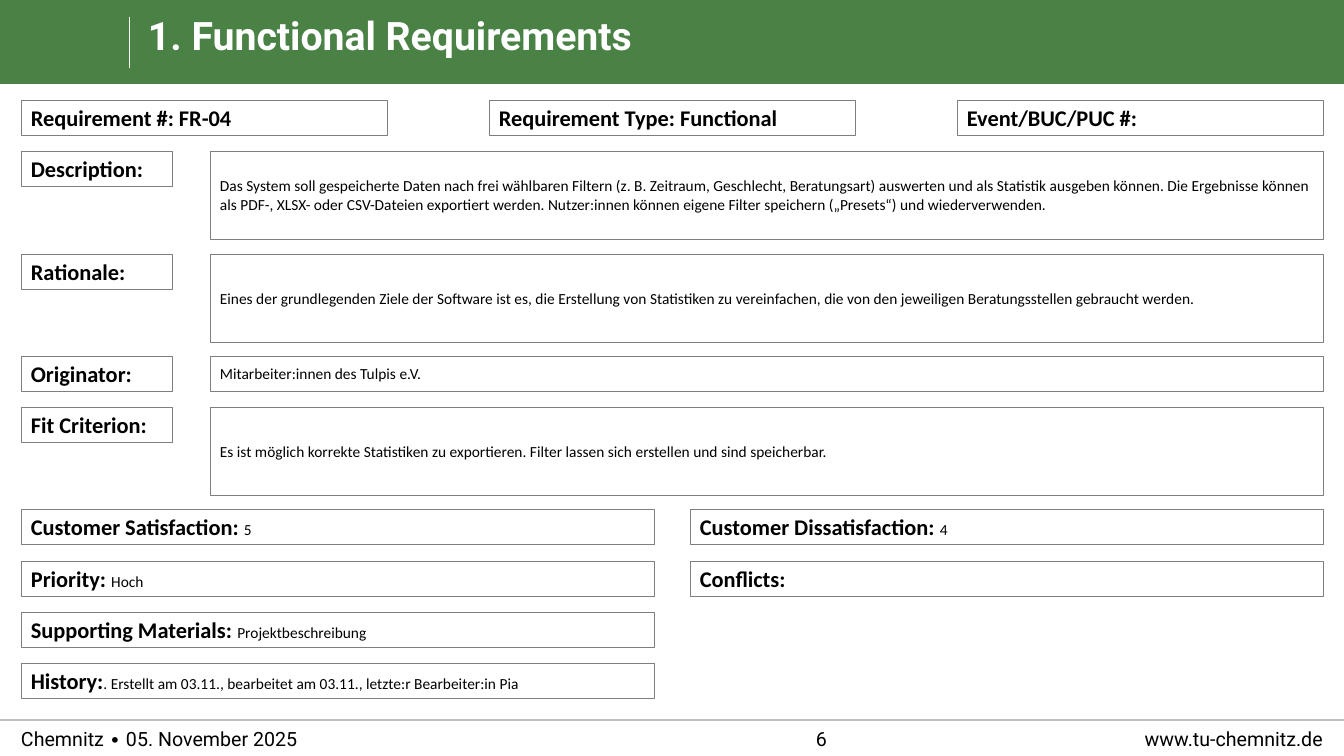
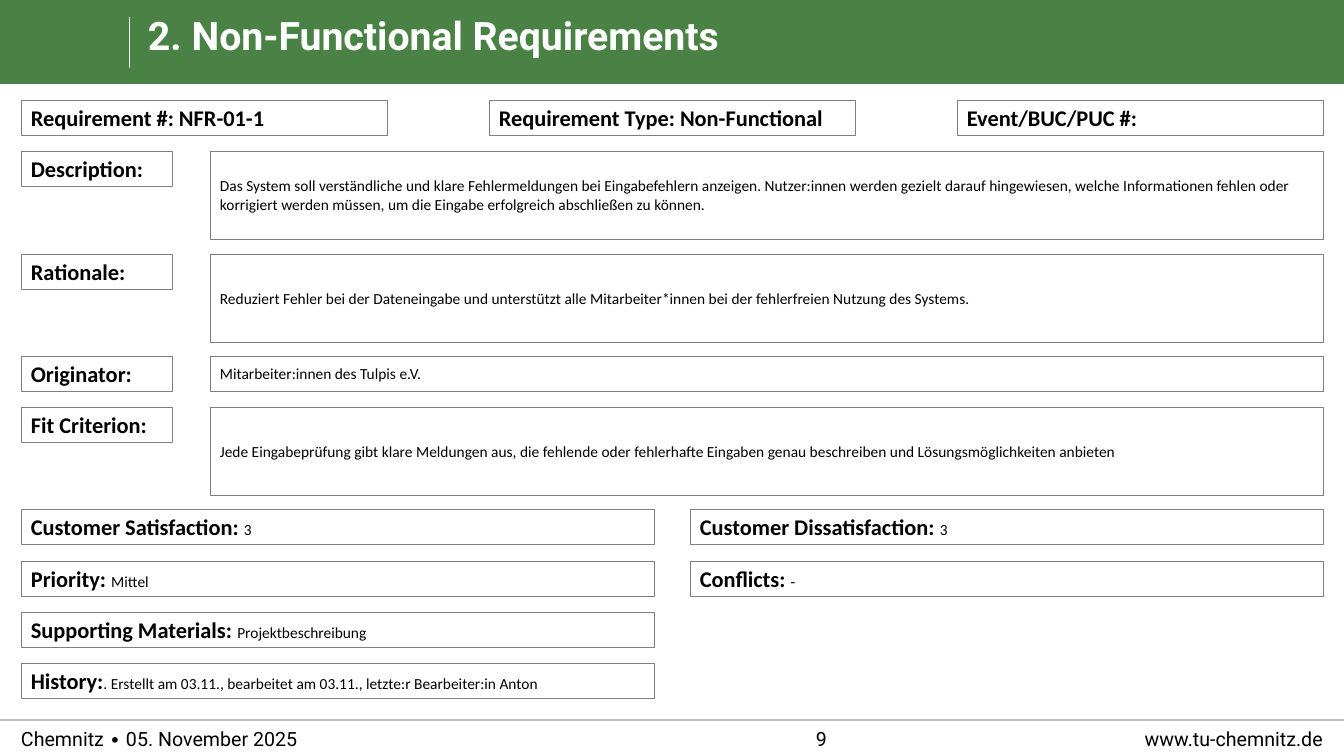
from dataclasses import dataclass

from lxml import etree
from pptx import Presentation
from pptx.dml.color import RGBColor
from pptx.enum.shapes import MSO_CONNECTOR, MSO_SHAPE
from pptx.enum.text import MSO_ANCHOR, MSO_AUTO_SIZE, PP_ALIGN
from pptx.oxml.ns import qn
from pptx.util import Emu, Pt

STRAIGHT = MSO_CONNECTOR.STRAIGHT
RECTANGLE = MSO_SHAPE.RECTANGLE
TOP, MIDDLE = MSO_ANCHOR.TOP, MSO_ANCHOR.MIDDLE
LEFT, CENTER, RIGHT = PP_ALIGN.LEFT, PP_ALIGN.CENTER, PP_ALIGN.RIGHT
TITLE_ONLY = 5

SLIDE_WIDTH, SLIDE_HEIGHT = 1344, 756
EMU_PER_PX = 12192000 / SLIDE_WIDTH


@dataclass(frozen=True)
class Theme:
    green: RGBColor = RGBColor(0x4A, 0x82, 0x46)
    white: RGBColor = RGBColor(0xFF, 0xFF, 0xFF)
    black: RGBColor = RGBColor(0x00, 0x00, 0x00)
    border: RGBColor = RGBColor(0x7F, 0x7F, 0x7F)
    heading_font: str = "Roboto"
    body_font: str = "Calibri"
    title_size: int = 28
    label_size: int = 16
    footer_size: int = 14
    value_size: int = 11


THEME = Theme()


@dataclass(frozen=True)
class Box:
    left: int
    top: int
    width: int
    height: int

    def emu(self):
        return [px(value) for value in (self.left, self.top, self.width, self.height)]


BAND = Box(0, 0, SLIDE_WIDTH, 84)
TITLE = Box(148, 17, 1174, 51)
CARD = Box(21, 100, 1302, 598)
FOOTER = Box(0, 720, SLIDE_WIDTH, 37)

FIELD_HEIGHT, TALL_HEIGHT = 35, 88
LAST_ROW = 11
HEADER_WIDTH, LABEL_WIDTH, VALUE_WIDTH, HALF_WIDTH = 366, 151, 1113, 633


@dataclass(frozen=True)
class Requirement:
    title: str
    page: str
    number: str
    kind: str
    description: str
    rationale: str
    originator: str
    fit_criterion: str
    satisfaction: str
    dissatisfaction: str
    priority: str
    conflicts: tuple
    materials: str
    history: str


def px(value):
    return Emu(round(value * EMU_PER_PX))


def style_font(font, name, size, color, bold=False):
    font.name, font.size, font.bold = name, Pt(size), bold
    font.color.rgb = color


def add_rule(slide, start, end, color, width, opacity=None):
    rule = slide.shapes.add_connector(STRAIGHT, *(px(value) for value in start + end))
    rule.line.color.rgb = color
    rule.line.width = Pt(width)
    if opacity is not None:
        srgb = next(rule.element.iter(qn("a:srgbClr")))
        etree.SubElement(srgb, qn("a:alpha")).set("val", str(opacity * 1000))
    etree.SubElement(rule.element.spPr, qn("a:effectLst"))


def clear_margins(frame):
    frame.margin_left = frame.margin_top = frame.margin_right = frame.margin_bottom = 0


def add_footer_text(slide, box, text, alignment):
    frame = slide.shapes.add_textbox(*box.emu()).text_frame
    clear_margins(frame)
    frame.word_wrap = True
    frame.vertical_anchor = MIDDLE
    paragraph = frame.paragraphs[0]
    paragraph.text = text
    paragraph.alignment = alignment
    style_font(paragraph.font, THEME.heading_font, THEME.footer_size, THEME.black)


def add_band(slide, box):
    band = slide.shapes.add_shape(RECTANGLE, *box.emu())
    band.shadow.inherit = False
    band.fill.solid()
    band.fill.fore_color.rgb = THEME.green
    band.line.fill.background()
    divider = box.left + 129
    add_rule(slide, (divider, box.top + 17), (divider, box.top + 68), THEME.white, 0.5)


def add_footer(slide, box):
    add_rule(slide, (box.left, box.top), (box.left + box.width, box.top),
             THEME.black, 1, opacity=40)
    add_footer_text(slide, Box(box.left + 910, box.top, 413, box.height),
                    "www.tu-chemnitz.de", RIGHT)
    add_footer_text(slide, Box(box.left + 21, box.top, 635, box.height),
                    "Chemnitz ∙ 05. November 2025", LEFT)


def furnish_layout(slide, layout):
    """Draw the band and footer on the slide, then hand them to its layout."""
    for placeholder in list(layout.placeholders):
        if placeholder.placeholder_format.idx != 0:
            layout.shapes.element.remove(placeholder.element)
    add_band(slide, BAND)
    add_footer(slide, FOOTER)
    for shape in list(slide.shapes):
        if not shape.is_placeholder:
            layout.shapes.element.append(shape.element)


def set_title(slide, box, text):
    title = slide.shapes.title
    title.left, title.top, title.width, title.height = box.emu()
    frame = title.text_frame
    clear_margins(frame)
    frame.auto_size = MSO_AUTO_SIZE.NONE
    frame.vertical_anchor = TOP
    paragraph = frame.paragraphs[0]
    paragraph.text = text
    paragraph.alignment = LEFT
    paragraph.line_spacing = 0.9
    style_font(paragraph.font, THEME.heading_font, THEME.title_size, THEME.white, True)


def add_field(slide, box, label="", value=""):
    """Add a bordered box with a bold label, a small value, or both."""
    field = slide.shapes.add_shape(RECTANGLE, *box.emu())
    field.shadow.inherit = False
    field.fill.solid()
    field.fill.fore_color.rgb = THEME.white
    field.line.color.rgb = THEME.border
    field.line.width = Pt(0.5)
    field.text_frame.vertical_anchor = MIDDLE
    paragraph = field.text_frame.paragraphs[0]
    paragraph.alignment = LEFT
    for text, size, bold in ((label, THEME.label_size, True), (value, THEME.value_size, False)):
        if text:
            run = paragraph.add_run()
            run.text = text
            style_font(run.font, THEME.body_font, size, THEME.black, bold)


def add_card(slide, box, requirement):
    """Lay out the requirement's fields on a grid of equally spaced rows."""
    def row_top(row):
        return box.top + round((box.height - FIELD_HEIGHT) * row / LAST_ROW)

    headers = (f"Requirement #: {requirement.number}",
               f"Requirement Type: {requirement.kind}",
               "Event/BUC/PUC #:")
    header_step = (box.width - HEADER_WIDTH) // (len(headers) - 1)
    for column, label in enumerate(headers):
        left = box.left + column * header_step
        add_field(slide, Box(left, row_top(0), HEADER_WIDTH, FIELD_HEIGHT), label)

    details = (
        (1, TALL_HEIGHT, "Description:", requirement.description),
        (3, TALL_HEIGHT, "Rationale:", requirement.rationale),
        (5, FIELD_HEIGHT, "Originator:", requirement.originator),
        (6, TALL_HEIGHT, "Fit Criterion:", requirement.fit_criterion),
    )
    value_left = box.left + box.width - VALUE_WIDTH
    for row, height, label, value in details:
        top = row_top(row)
        add_field(slide, Box(box.left, top, LABEL_WIDTH, FIELD_HEIGHT), label)
        add_field(slide, Box(value_left, top, VALUE_WIDTH, height), value=value)

    ratings = (
        (8, 0, "Customer Satisfaction: ", requirement.satisfaction),
        (8, 1, "Customer Dissatisfaction: ", requirement.dissatisfaction),
        (9, 0, "Priority: ", requirement.priority),
        (9, 1, *requirement.conflicts),
        (10, 0, "Supporting Materials: ", requirement.materials),
        (11, 0, "History:", requirement.history),
    )
    for row, column, label, value in ratings:
        left = box.left + column * (box.width - HALF_WIDTH)
        add_field(slide, Box(left, row_top(row), HALF_WIDTH, FIELD_HEIGHT), label, value)


def fill_requirement_slide(slide, requirement):
    set_title(slide, TITLE, requirement.title)
    add_footer_text(slide, Box(513, FOOTER.top, 617, FOOTER.height), requirement.page, CENTER)
    add_card(slide, CARD, requirement)


REQUIREMENTS = (
    Requirement(
        title="1. Functional Requirements",
        page="6",
        number="FR-04",
        kind="Functional",
        description="Das System soll gespeicherte Daten nach frei wählbaren Filtern "
                    "(z. B. Zeitraum, Geschlecht, Beratungsart) auswerten und als Statistik "
                    "ausgeben können. Die Ergebnisse können als PDF-, XLSX- oder CSV-Dateien "
                    "exportiert werden. Nutzer:innen können eigene Filter speichern "
                    "(„Presets“) und wiederverwenden.",
        rationale="Eines der grundlegenden Ziele der Software ist es, die Erstellung von "
                  "Statistiken zu vereinfachen, die von den jeweiligen Beratungsstellen "
                  "gebraucht werden.",
        originator="Mitarbeiter:innen des Tulpis e.V.",
        fit_criterion="Es ist möglich korrekte Statistiken zu exportieren. Filter lassen "
                      "sich erstellen und sind speicherbar.",
        satisfaction="5",
        dissatisfaction="4",
        priority="Hoch",
        conflicts=("Conflicts:", ""),
        materials="Projektbeschreibung",
        history=". Erstellt am 03.11., bearbeitet am 03.11., letzte:r Bearbeiter:in Pia",
    ),
    Requirement(
        title="2. Non-Functional Requirements",
        page="9",
        number="NFR-01-1",
        kind="Non-Functional",
        description="Das System soll verständliche und klare Fehlermeldungen bei "
                    "Eingabefehlern anzeigen. Nutzer:innen werden gezielt darauf "
                    "hingewiesen, welche Informationen fehlen oder korrigiert werden "
                    "müssen, um die Eingabe erfolgreich abschließen zu können.",
        rationale="Reduziert Fehler bei der Dateneingabe und unterstützt alle "
                  "Mitarbeiter*innen bei der fehlerfreien Nutzung des Systems.",
        originator="Mitarbeiter:innen des Tulpis e.V.",
        fit_criterion="Jede Eingabeprüfung gibt klare Meldungen aus, die fehlende oder "
                      "fehlerhafte Eingaben genau beschreiben und Lösungsmöglichkeiten "
                      "anbieten",
        satisfaction="3",
        dissatisfaction="3",
        priority="Mittel",
        conflicts=("Conflicts: ", "-"),
        materials="Projektbeschreibung",
        history=". Erstellt am 03.11., bearbeitet am 03.11., letzte:r Bearbeiter:in Anton",
    ),
)


def main():
    presentation = Presentation()
    presentation.slide_width, presentation.slide_height = px(SLIDE_WIDTH), px(SLIDE_HEIGHT)
    layout = presentation.slide_layouts[TITLE_ONLY]
    slides = [presentation.slides.add_slide(layout) for _ in REQUIREMENTS]
    furnish_layout(slides[0], layout)
    for slide, requirement in zip(slides, REQUIREMENTS):
        fill_requirement_slide(slide, requirement)
    presentation.save("out.pptx")


if __name__ == "__main__":
    main()
